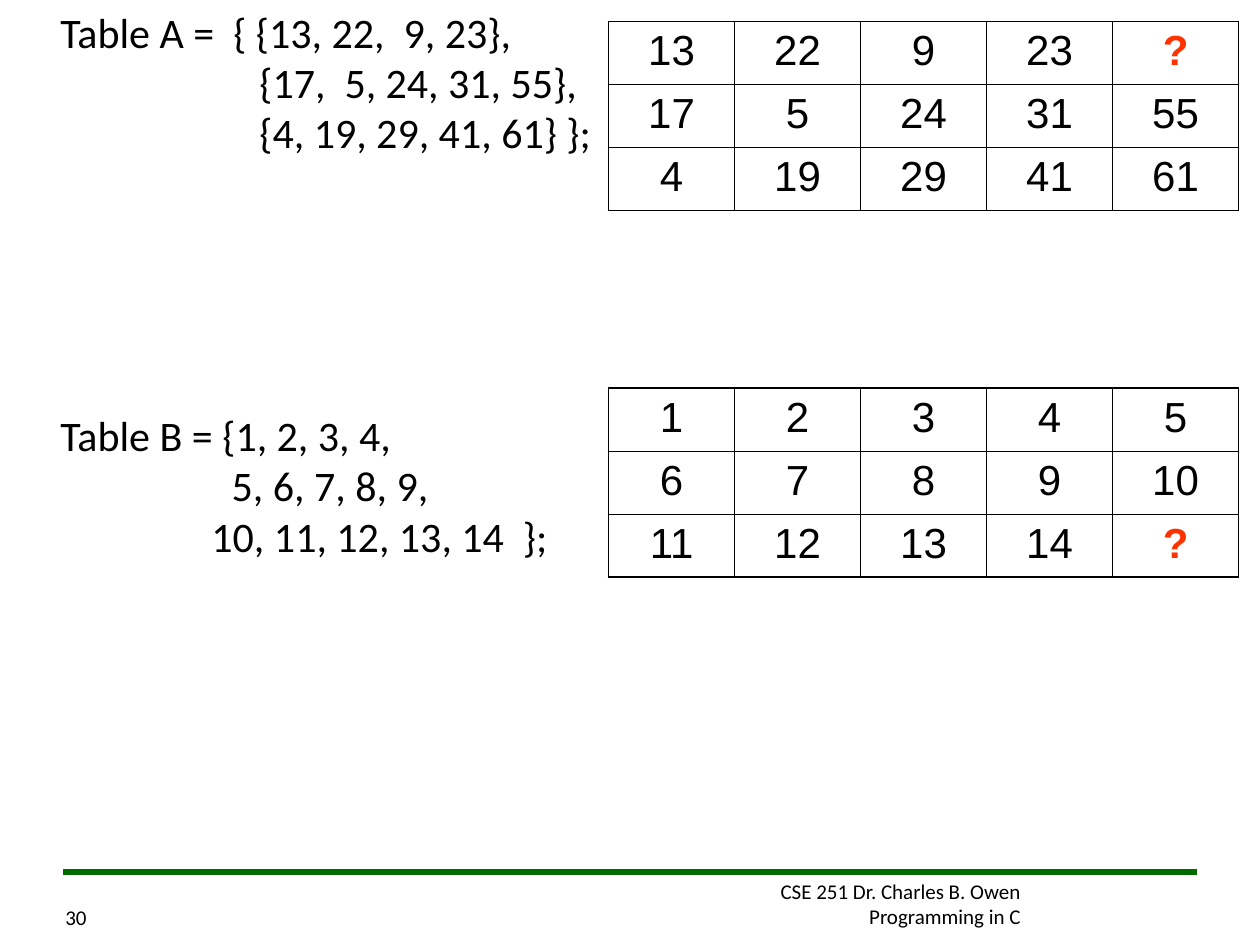
"""Build a slide comparing two array initializers with the tables they fill."""
from lxml import etree
from pptx import Presentation, util as u
from pptx.dml.color import RGBColor
from pptx.enum import shapes, text
from pptx.oxml.ns import qn

BLACK, WHITE, RED, GREEN = "000000", "FFFFFF", "FF3300", "006C00"
OUTER, INNER = 1.08, 0.45
TABLE_LEFT, COLUMN, ROW = 4.83, 1, 0.5

CODE = [
    ("Table A =  { {13, 22,  9, 23},", 0.13, 0),
    ("{17,  5, 24, 31, 55},", 1.71, 0),
    ("{4, 19, 29, 41, 61} };", 1.71, 0),
    ("Table B = {1, 2, 3, 4,", 0.13, 144),
    ("5, 6, 7, 8, 9,", 1.49, 0),
    ("10, 11, 12, 13, 14  };", 1.33, 0),
]
TABLES = [
    (0.17, [["13", "22", "9", "23", "?"],
            ["17", "5", "24", "31", "55"],
            ["4", "19", "29", "41", "61"]]),
    (3.08, [["1", "2", "3", "4", "5"],
            ["6", "7", "8", "9", "10"],
            ["11", "12", "13", "14", "?"]]),
]
FOOTER = ["CSE 251 Dr. Charles B. Owen", "Programming in C"]
PAGE_NUMBER = "30"


def color(value):
    return RGBColor.from_string(value)


def write(para, words, size, font="Calibri", ink=BLACK, bold=False, **layout):
    span = para.add_run()
    span.text = words
    for name, value in {"size": u.Pt(size), "name": font, "bold": bold}.items():
        setattr(span.font, name, value)
    span.font.color.rgb = color(ink)
    for name, value in layout.items():
        setattr(para, name, value)


def paragraphs(frame, count):
    return [frame.paragraphs[0]] + [frame.add_paragraph() for _ in range(count - 1)]


def add_box(slide, *place):
    box = slide.shapes.add_textbox(*map(u.Inches, place))
    box.text_frame.word_wrap = True
    return box


def add_footer(slide):
    credit = add_box(slide, 4.83, 6.92, 3.37, 0.5)
    for para, words in zip(paragraphs(credit.text_frame, len(FOOTER)), FOOTER):
        write(para, words, 12, alignment=text.PP_ALIGN.RIGHT)

    rule = slide.shapes.add_connector(
        shapes.MSO_CONNECTOR.STRAIGHT, *map(u.Inches, (9.5, 6.92, 0.5, 6.92)))
    rule.line.color.rgb = color(GREEN)
    rule.line.width = u.Pt(3)
    etree.SubElement(rule.element.spPr, qn("a:effectLst"))

    number = add_box(slide, 0.42, 6.92, 0.4, 0.51)
    number.text_frame.vertical_anchor = text.MSO_ANCHOR.BOTTOM
    write(number.text_frame.paragraphs[0], PAGE_NUMBER, 12)


def add_code(slide):
    box = add_box(slide, 0.25, 0, 9.25, 4.5)
    box.fill.solid()
    box.fill.fore_color.rgb = color(WHITE)
    for para, (words, indent, gap) in zip(paragraphs(box.text_frame, len(CODE)), CODE):
        write(para, words, 24, space_before=u.Pt(gap))
        props = para._p.get_or_add_pPr()
        props.set("marL", str(u.Inches(indent)))
        props.set("indent", "0")


def set_borders(cell, widths):
    props = cell._tc.get_or_add_tcPr()
    for position, (side, width) in enumerate(widths.items()):
        line = etree.Element(qn(f"a:ln{side}"), w=str(u.Pt(width)))
        fill = etree.SubElement(line, qn("a:solidFill"))
        etree.SubElement(fill, qn("a:srgbClr"), val=BLACK)
        props.insert(position, line)


def add_grid(slide, top, values):
    rows, columns = len(values), len(values[0])
    table = slide.shapes.add_table(rows, columns, *map(
        u.Inches, (TABLE_LEFT, top, columns * COLUMN, rows * ROW))).table
    table.first_row = table.horz_banding = False
    for r, row in enumerate(values):
        for c, words in enumerate(row):
            cell = table.cell(r, c)
            cell.fill.background()
            unknown = words == "?"
            write(cell.text_frame.paragraphs[0], words, 24, "Arial",
                  RED if unknown else BLACK, unknown,
                  alignment=text.PP_ALIGN.CENTER, space_before=u.Pt(6))
            edges = {"L": c == 0, "R": c == columns - 1, "T": r == 0, "B": r == rows - 1}
            set_borders(cell, {side: OUTER if edge else INNER for side, edge in edges.items()})


def main():
    deck = Presentation()
    deck.slide_width, deck.slide_height = u.Inches(10), u.Inches(7.5)
    slide = deck.slides.add_slide(deck.slide_layouts[6])
    add_footer(slide)
    add_code(slide)
    for top, values in TABLES:
        add_grid(slide, top, values)
    deck.save("out.pptx")


if __name__ == "__main__":
    main()
